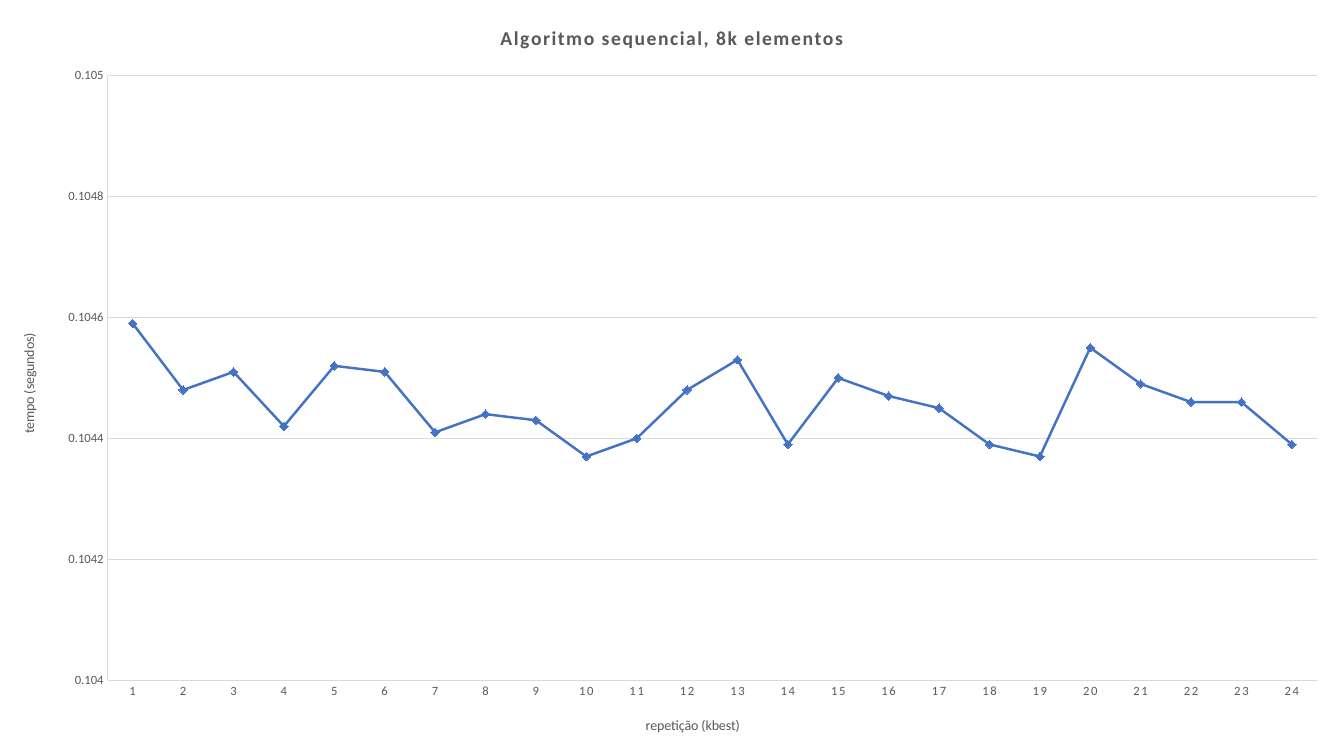
import dataclasses
import lxml.etree
import pptx
import pptx.chart.data
import pptx.dml.color
import pptx.enum.chart
import pptx.oxml
import pptx.oxml.ns
import pptx.util


@dataclasses.dataclass(frozen=True)
class Theme:
    """Colours, font and type sizes of the slide."""
    font: str = "Calibri"
    text: str = "595959"
    rule: str = "D9D9D9"
    accent: str = "4472C4"
    title: float = 14
    axis_title: float = 10
    label: float = 9
    rule_width: float = 0.75
    line_width: float = 1.75
    marker: int = 6
    title_spacing: int = 100
    label_spacing: int = 120


class Deck:
    """Holds the style and the current slide."""

    def __init__(self, theme, width, height):
        """Start a deck with one blank slide."""
        self.theme = theme
        self.prs = pptx.Presentation()
        self.prs.slide_width = pptx.util.Inches(width)
        self.prs.slide_height = pptx.util.Inches(height)
        self.s = self.prs.slides.add_slide(self.prs.slide_layouts[6])

    def style_font(self, font, size, bold=False):
        """Apply the theme's typeface and text colour."""
        font.name, font.size, font.bold = self.theme.font, pptx.util.Pt(size), bold
        font.color.rgb = pptx.dml.color.RGBColor.from_string(self.theme.text)

    def style_line(self, line, color, width):
        """Set a line's colour and width."""
        line.color.rgb = pptx.dml.color.RGBColor.from_string(color)
        line.width = pptx.util.Pt(width)

    def title(self, title, text, size, bold=False):
        """Write the title of a chart or an axis."""
        tf = title.text_frame
        tf.text = text
        self.style_font(tf.paragraphs[0].runs[0].font, size, bold)

    def axis(self, axis, text):
        """Style an axis and give it a title."""
        axis.major_tick_mark = axis.minor_tick_mark = pptx.enum.chart.XL_TICK_MARK.NONE
        self.style_font(axis.tick_labels.font, self.theme.label)
        self.style_line(axis.format.line, self.theme.rule, self.theme.rule_width)
        self.title(axis.axis_title, text, self.theme.axis_title)

    def spacing(self, chart, query, amount):
        """Letter-space the text properties that a query finds."""
        for props in chart.element.xpath(query):
            props.set("spc", str(amount))

    def plot_area(self, chart, **shares):
        """Place the inner plot area by shares of the chart's size."""
        area = chart.element.xpath("c:chart/c:plotArea")[0]
        for old in area.xpath("c:layout"):
            area.remove(old)
        qn = pptx.oxml.ns.qn
        layout = lxml.etree.Element(qn("c:layout"))
        manual = lxml.etree.SubElement(layout, qn("c:manualLayout"))
        settings = {"layoutTarget": "inner", "xMode": "edge", "yMode": "edge", **shares}
        for name, value in settings.items():
            lxml.etree.SubElement(manual, qn(f"c:{name}")).set("val", str(value))
        area.insert(0, layout)

    def line_chart(self, title, x_title, y_title, name, values, scale):
        """Fill the slide with a line chart with markers."""
        theme = self.theme
        data = pptx.chart.data.CategoryChartData()
        data.categories = [str(i) for i in range(1, len(values) + 1)]
        data.add_series(name, values)
        chart = self.s.shapes.add_chart(
            pptx.enum.chart.XL_CHART_TYPE.LINE_MARKERS, 0, 0,
            self.prs.slide_width, self.prs.slide_height, data).chart
        self.style_font(chart.font, theme.axis_title)
        chart.has_legend = False
        self.title(chart.chart_title, title, theme.title, bold=True)
        self.axis(chart.category_axis, x_title)
        y = chart.value_axis
        self.axis(y, y_title)
        y.minimum_scale, y.maximum_scale, y.major_unit = scale
        y.has_major_gridlines = True
        self.style_line(y.major_gridlines.format.line, theme.rule, theme.rule_width)
        y.tick_labels.number_format = "General"
        y.tick_labels.number_format_is_linked = False

        plot = chart.plots[0]
        plot.vary_by_categories = False
        series = plot.series[0]
        series.smooth = False
        self.style_line(series.format.line, theme.accent, theme.line_width)
        marker = series.marker
        marker.style = pptx.enum.chart.XL_MARKER_STYLE.DIAMOND
        marker.size = theme.marker
        marker.format.fill.solid()
        marker.format.fill.fore_color.rgb = pptx.dml.color.RGBColor.from_string(theme.accent)
        self.style_line(marker.format.line, theme.accent, theme.rule_width)

        self.spacing(chart, "c:chart/c:title//a:rPr", theme.title_spacing)
        self.spacing(chart, ".//c:catAx/c:txPr//a:defRPr", theme.label_spacing)
        self.plot_area(chart, x=0.08, y=0.1, w=0.9, h=0.8)


TIMES = [
    0.10459, 0.10448, 0.10451, 0.10442, 0.10452, 0.10451, 0.10441, 0.10444,
    0.10443, 0.10437, 0.1044, 0.10448, 0.10453, 0.10439, 0.1045, 0.10447,
    0.10445, 0.10439, 0.10437, 0.10455, 0.10449, 0.10446, 0.10446, 0.10439,
]

deck = Deck(Theme(), 13.33, 7.5)
deck.line_chart("Algoritmo sequencial, 8k elementos", "repetição (kbest)",
                "tempo (segundos)", "Series 1", TIMES, (0.104, 0.105, 0.0002))
deck.prs.save("out.pptx")
